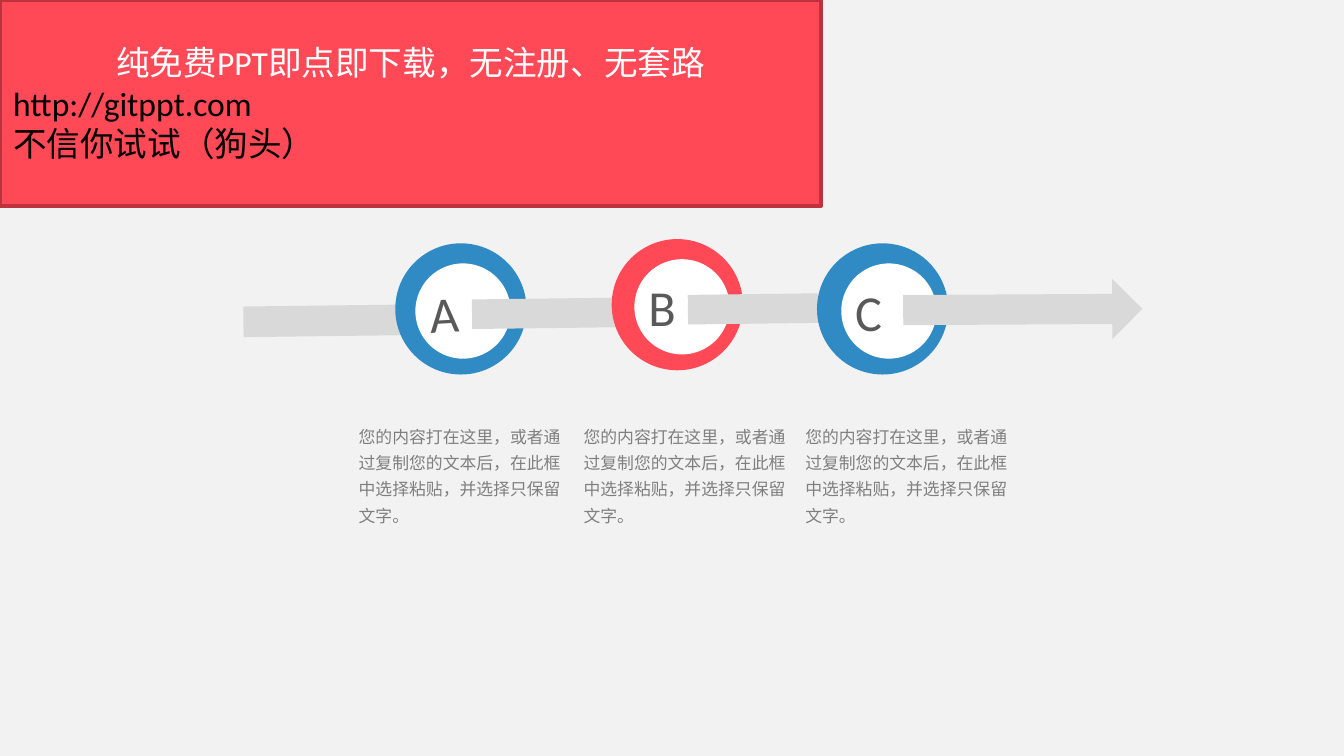
from lxml import etree
from pptx import Presentation
from pptx import util as u
from pptx.dml.color import RGBColor
from pptx.enum import shapes, text
from pptx.oxml.ns import qn

COLORS = {
    "background": "F2F2F2",
    "track": "D9D9D9",
    "blue": "308BC4",
    "red": "FF4957",
    "red_edge": "BC333E",
    "white": "FFFFFF",
    "black": "000000",
    "letter": "595959",
    "body": "7F7F7F",
}
BODY = "您的内容打在这里，或者通过复制您的文本后，在此框中选择粘贴，并选择只保留文字。"
BANNER = [
    ("纯免费PPT即点即下载，无注册、无套路", "white", text.PP_ALIGN.CENTER),
    ("http://gitppt.com", "black", text.PP_ALIGN.LEFT),
    ("不信你试试（狗头）", "black", text.PP_ALIGN.LEFT),
]
RING, DISC = 2.48, 1.8
TRACK_TILT, RING_TILT, ARROW_TILT = -0.7, 22.6, -0.3
STAGES = [
    {"letter": "A", "color": "blue", "track": (4.6, 5.77, 4.17, 0.58),
     "ring": (7.47, 4.6), "disc": (7.85, 4.98), "tilt": -3.3, "body": 6.6},
    {"letter": "B", "color": "red", "track": (8.92, 5.64, 3.51, 0.56),
     "ring": (11.56, 4.52), "disc": (11.99, 4.9), "tilt": 0, "body": 10.85},
    {"letter": "C", "color": "blue", "track": (13, 5.56, 2.46, 0.56),
     "ring": (15.44, 4.6), "disc": (15.9, 4.98), "tilt": 0, "body": 15.04},
]


def rgb(name):
    """Return the palette colour called name."""
    return RGBColor.from_string(COLORS[name])


def add_figure(slide, preset, box, color, tilt=0):
    """Add a flat filled preset shape, with its box in centimetres."""
    figure = slide.shapes.add_shape(preset, *map(u.Cm, box))
    figure.shadow.inherit = False
    figure.fill.solid()
    figure.fill.fore_color.rgb = rgb(color)
    figure.line.fill.background()
    figure.rotation = tilt
    return figure


def set_margins(frame, left, top, right, bottom):
    """Set the four text margins in centimetres."""
    frame.margin_left, frame.margin_top = u.Cm(left), u.Cm(top)
    frame.margin_right, frame.margin_bottom = u.Cm(right), u.Cm(bottom)


def add_run(paragraph, words, size, font, color):
    """Add one formatted run for both Latin and East Asian text."""
    run = paragraph.add_run()
    run.text = words
    run.font.size = u.Pt(size)
    run.font.name = font
    run.font.color.rgb = rgb(color)
    if font != "Calibri":
        latin = run.font._element.find(qn("a:latin"))
        east_asian = etree.Element(qn("a:ea"), typeface=font)
        latin.addnext(east_asian)


def add_stage(slide, stage):
    """Add a track segment with its ring and lettered disc."""
    oval = shapes.MSO_SHAPE.OVAL
    add_figure(slide, shapes.MSO_SHAPE.RECTANGLE, stage["track"], "track", TRACK_TILT)
    add_figure(slide, oval, (*stage["ring"], RING, RING), stage["color"], RING_TILT)
    disc = add_figure(slide, oval, (*stage["disc"], DISC, DISC), "white", stage["tilt"])
    frame = disc.text_frame
    set_margins(frame, 0, 0, 0.23, 0)
    frame.vertical_anchor = text.MSO_ANCHOR.MIDDLE
    letter = frame.paragraphs[0]
    letter.alignment = text.PP_ALIGN.LEFT
    add_run(letter, stage["letter"], 27, "Calibri", "letter")


def add_body(slide, left):
    """Add the explanatory text below a stage."""
    body = slide.shapes.add_textbox(u.Cm(left), u.Cm(7.85), u.Cm(4.37), u.Cm(2.18))
    frame = body.text_frame
    frame.word_wrap = True
    frame.auto_size = text.MSO_AUTO_SIZE.SHAPE_TO_FIT_TEXT
    set_margins(frame, 0.18, 0.1, 0.18, 0.1)
    paragraph = frame.paragraphs[0]
    paragraph.line_spacing = 1.3
    add_run(paragraph, BODY, 9, "Noto Sans CJK SC", "body")


def add_banner(slide):
    """Add the outlined panel with its three lines in the top left corner."""
    banner = add_figure(slide, shapes.MSO_SHAPE.RECTANGLE, (0, 0, 15.52, 3.89), "red")
    banner.line.color.rgb = rgb("red_edge")
    banner.line.width = u.Pt(2)
    frame = banner.text_frame
    frame.word_wrap = True
    frame.vertical_anchor = text.MSO_ANCHOR.MIDDLE
    set_margins(frame, 0.25, 0.13, 0.25, 0.13)
    for index, (words, color, alignment) in enumerate(BANNER):
        paragraph = frame.add_paragraph() if index else frame.paragraphs[0]
        paragraph.alignment = alignment
        add_run(paragraph, words, 18, "Calibri", color)


def main():
    """Build and save the slide."""
    deck = Presentation()
    deck.slide_width, deck.slide_height = u.Cm(25.4), u.Cm(14.29)
    slide = deck.slides.add_slide(deck.slide_layouts[6])
    slide.background.fill.solid()
    slide.background.fill.fore_color.rgb = rgb("background")
    for stage in STAGES:
        add_stage(slide, stage)
    add_figure(slide, shapes.MSO_SHAPE.RIGHT_ARROW, (17.07, 5.28, 4.52, 1.14),
               "track", ARROW_TILT)
    for stage in STAGES:
        add_body(slide, stage["body"])
    add_banner(slide)
    deck.save("out.pptx")


if __name__ == "__main__":
    main()
